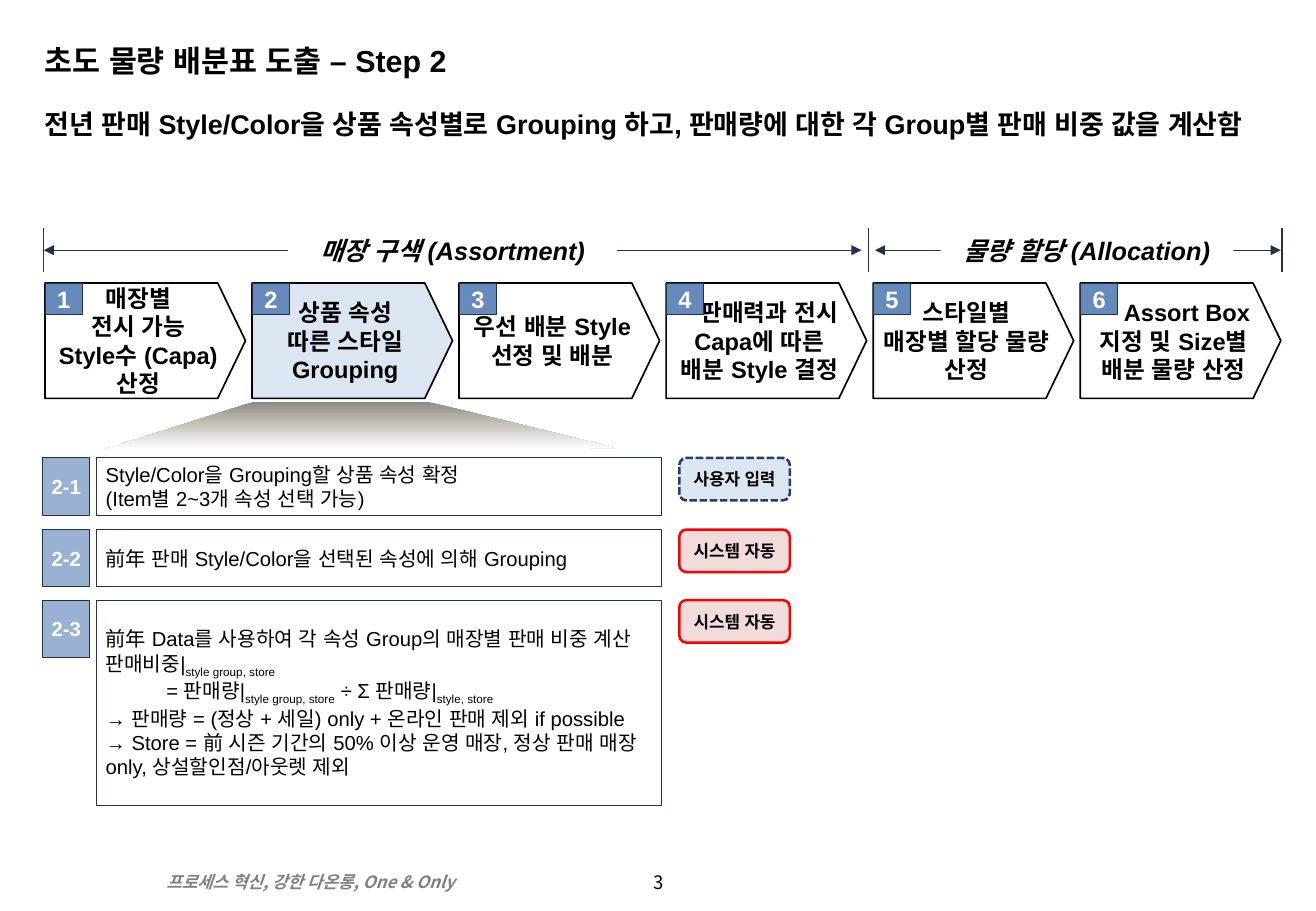
from copy import deepcopy
from dataclasses import dataclass

from lxml import etree
from pptx import Presentation
from pptx.dml.color import RGBColor
from pptx.enum.dml import MSO_LINE
from pptx.enum.shapes import MSO_CONNECTOR, MSO_SHAPE
from pptx.enum.text import MSO_ANCHOR, PP_ALIGN
from pptx.oxml.ns import qn
from pptx.util import Inches, Pt

RECT = MSO_SHAPE.RECTANGLE
ROUND = MSO_SHAPE.ROUNDED_RECTANGLE
ARROW = MSO_SHAPE.PENTAGON
LEFT, CENTER = PP_ALIGN.LEFT, PP_ALIGN.CENTER
TOP, MIDDLE, BOTTOM = MSO_ANCHOR.TOP, MSO_ANCHOR.MIDDLE, MSO_ANCHOR.BOTTOM
DASH = MSO_LINE.SQUARE_DOT
STRAIGHT = MSO_CONNECTOR.STRAIGHT
SANS, CJK = "Arial", "Noto Sans CJK KR"
BLACK, WHITE, NAVY, PALE = "000000", "FFFFFF", "21324B", "DCE6F2"


@dataclass
class Box:
    left: float
    top: float
    width: float
    height: float


@dataclass
class Style:
    size: float
    color: str = BLACK
    bold: bool = True
    italic: bool = False
    font: str = SANS
    align: PP_ALIGN = CENTER
    anchor: MSO_ANCHOR = MIDDLE
    side: float = 0.1
    edge: float = 0
    wrap: bool = True
    indent: float = 0


@dataclass
class Step:
    text: str
    fill: str = WHITE
    indent: float = 0


@dataclass
class Span:
    start: float
    end: float
    text: str
    left: float
    width: float


@dataclass
class Task:
    top: float
    height: float
    text: str
    auto: bool


STEPS = [
    Step("매장별\n전시 가능\nStyle수 (Capa) 산정"),
    Step("상품 속성\n따른 스타일 Grouping", PALE),
    Step("우선 배분 Style 선정 및 배분"),
    Step("판매력과 전시 Capa에 따른 배분 Style 결정", indent=0.16),
    Step("스타일별\n매장별 할당 물량 산정"),
    Step("Assort Box 지정 및 Size별 배분 물량 산정", indent=0.22),
]
SPANS = [
    Span(0.36, 7.09, "매장 구색 (Assortment)", 2.37, 2.71),
    Span(7.2, 10.54, "물량 할당 (Allocation)", 7.74, 2.41),
]
TASKS = [
    Task(3.77, 0.47, "Style/Color을 Grouping할 상품 속성 확정\n"
         "(Item별 2~3개 속성 선택 가능)", False),
    Task(4.36, 0.47, "前年 판매 Style/Color을 선택된 속성에 의해 Grouping", True),
    Task(4.94, 1.69, "前年 Data를 사용하여 각 속성 Group의 매장별 판매 비중 계산\n"
         "판매비중|^style group, store\n"
         "\t= 판매량|^style group, store^ ÷ Σ 판매량|^style, store\n"
         "→ 판매량 = (정상 + 세일) only + 온라인 판매 제외 if possible\n"
         "→ Store = 前 시즌 기간의 50% 이상 운영 매장, 정상 판매 매장 only, "
         "상설할인점/아웃렛 제외", True),
]


def rgb(code: str) -> RGBColor:
    return RGBColor.from_string(code)


def write(shape, text: str, style: Style) -> None:
    frame = shape.text_frame
    frame.word_wrap = style.wrap
    frame.vertical_anchor = style.anchor
    frame.margin_left = frame.margin_right = Inches(style.side)
    frame.margin_top = frame.margin_bottom = Inches(style.edge)
    for row, line in enumerate(text.split("\n")):
        para = frame.add_paragraph() if row else frame.paragraphs[0]
        first, *rest = line.split("^")
        para.text = first
        for part in rest:
            para.add_run().text = part
        para.alignment = style.align
        if style.indent:
            para._p.get_or_add_pPr().set("indent", str(Inches(style.indent)))
        for order, run in enumerate(para.runs):
            font = run.font
            font.size, font.name = Pt(style.size), style.font
            font.bold, font.italic = style.bold, style.italic
            font.color.rgb = rgb(style.color)
            props = run._r.get_or_add_rPr()
            etree.SubElement(props, qn("a:ea")).set("typeface", style.font)
            if order % 2:
                props.set("baseline", "-25000")


def label(slide, box: Box, text: str, style: Style):
    shape = slide.shapes.add_textbox(
        Inches(box.left), Inches(box.top), Inches(box.width), Inches(box.height))
    write(shape, text, style)
    return shape


def block(slide, kind: MSO_SHAPE, box: Box, text: str, style: Style,
          fill: str = "", line: str = "", weight: float = 0.5):
    shape = slide.shapes.add_shape(
        kind, Inches(box.left), Inches(box.top), Inches(box.width), Inches(box.height))
    shape.shadow.inherit = False
    if fill:
        shape.fill.solid()
        shape.fill.fore_color.rgb = rgb(fill)
    else:
        shape.fill.background()
    if line:
        shape.line.color.rgb = rgb(line)
        shape.line.width = Pt(weight)
    else:
        shape.line.fill.background()
    write(shape, text, style)
    return shape


def rule(slide, left: float, top: float, right: float, base: float,
         heads: bool = False) -> None:
    line = slide.shapes.add_connector(
        STRAIGHT, Inches(left), Inches(top), Inches(right), Inches(base))
    line.line.color.rgb = rgb(NAVY)
    line.line.width = Pt(0.75)
    etree.SubElement(line._element.spPr, qn("a:effectLst"))
    if heads:
        for tag in ("a:headEnd", "a:tailEnd"):
            etree.SubElement(line.line._get_or_add_ln(), qn(tag)).set("type", "triangle")


def beam(slide) -> None:
    path = slide.shapes.build_freeform(Inches(2.08), Inches(3.31))
    points = [(0.86, 3.7), (5.08, 3.69), (3.53, 3.31)]
    path.add_line_segments([(Inches(x), Inches(y)) for x, y in points], close=True)
    shape = path.convert_to_shape()
    shape.shadow.inherit = False
    shape.line.fill.background()
    shape.fill.gradient()
    shape.fill.gradient_angle = 270
    stops = shape._element.spPr.find(qn("a:gradFill")).find(qn("a:gsLst"))
    stops.append(deepcopy(stops[0]))
    shades = [(0, "8E8C85"), (0.5, "C9C7BD"), (1, WHITE)]
    for stop, (place, code) in zip(shape.fill.gradient_stops, shades):
        stop.position = place
        stop.color.rgb = rgb(code)


def flow(slide) -> None:
    gap = (8.89 - 0.37) / 5
    for order, step in enumerate(STEPS):
        left = 0.37 + order * gap
        shape = block(slide, ARROW, Box(left, 2.33, 1.65, 0.95), step.text,
                      Style(14, side=0.06, indent=step.indent), step.fill, BLACK, 1)
        shape.adjustments[0] = 0.24
        block(slide, RECT, Box(left, 2.33, 0.31, 0.26), str(order + 1),
              Style(14, WHITE), "678ABC", NAVY)
    for span in SPANS:
        rule(slide, span.start, 2.06, span.end, 2.06, True)
        block(slide, RECT, Box(span.left, 1.84, span.width, 0.44), span.text,
              Style(15, italic=True), WHITE)
    for x in (0.36, 7.15, 10.55):
        rule(slide, x, 1.88, x, 2.24)


def tasks(slide) -> None:
    for order, task in enumerate(TASKS, 1):
        block(slide, RECT, Box(0.79, task.top, 4.65, task.height), task.text,
              Style(12, bold=False, align=LEFT, side=0.08, edge=0.05), line=NAVY)
        block(slide, RECT, Box(0.35, task.top, 0.39, 0.47), f"2-{order}",
              Style(12, WHITE, side=0), "99B1D2", NAVY)
        text, fill, line = (("시스템 자동", "F2DCDB", "FF0000") if task.auto
                            else ("사용자 입력", PALE, "254061"))
        tag = block(slide, ROUND, Box(5.59, task.top, 0.91, 0.35), text,
                    Style(10, side=0.06, wrap=False), fill, line, 1.5)
        if not task.auto:
            tag.line.dash_style = DASH


def main() -> None:
    deck = Presentation()
    deck.slide_width, deck.slide_height = Inches(10.83), Inches(7.5)
    slide = deck.slides.add_slide(deck.slide_layouts[6])
    label(slide, Box(0.27, 0.24, 10.24, 0.46), "초도 물량 배분표 도출 – Step 2",
          Style(18, align=LEFT, anchor=BOTTOM, edge=0.05))
    label(slide, Box(0.27, 0.84, 10.26, 0.83),
          "전년 판매 Style/Color을 상품 속성별로 Grouping 하고, "
          "판매량에 대한 각 Group별 판매 비중 값을 계산함",
          Style(16, align=LEFT, anchor=TOP, edge=0.05))
    beam(slide)
    flow(slide)
    tasks(slide)
    label(slide, Box(1.27, 7.13, 3.32, 0.27), "프로세스 혁신, 강한 다온롱, One & Only",
          Style(10, "808080", italic=True, font=CJK, align=LEFT, anchor=TOP, edge=0.05))
    page = label(slide, Box(4.92, 7.13, 1, 0.3), "3",
                 Style(11, bold=False, font=CJK, edge=0.05))
    page.text_frame.paragraphs[0].line_spacing = 0.8
    deck.save("out.pptx")


if __name__ == "__main__":
    main()
